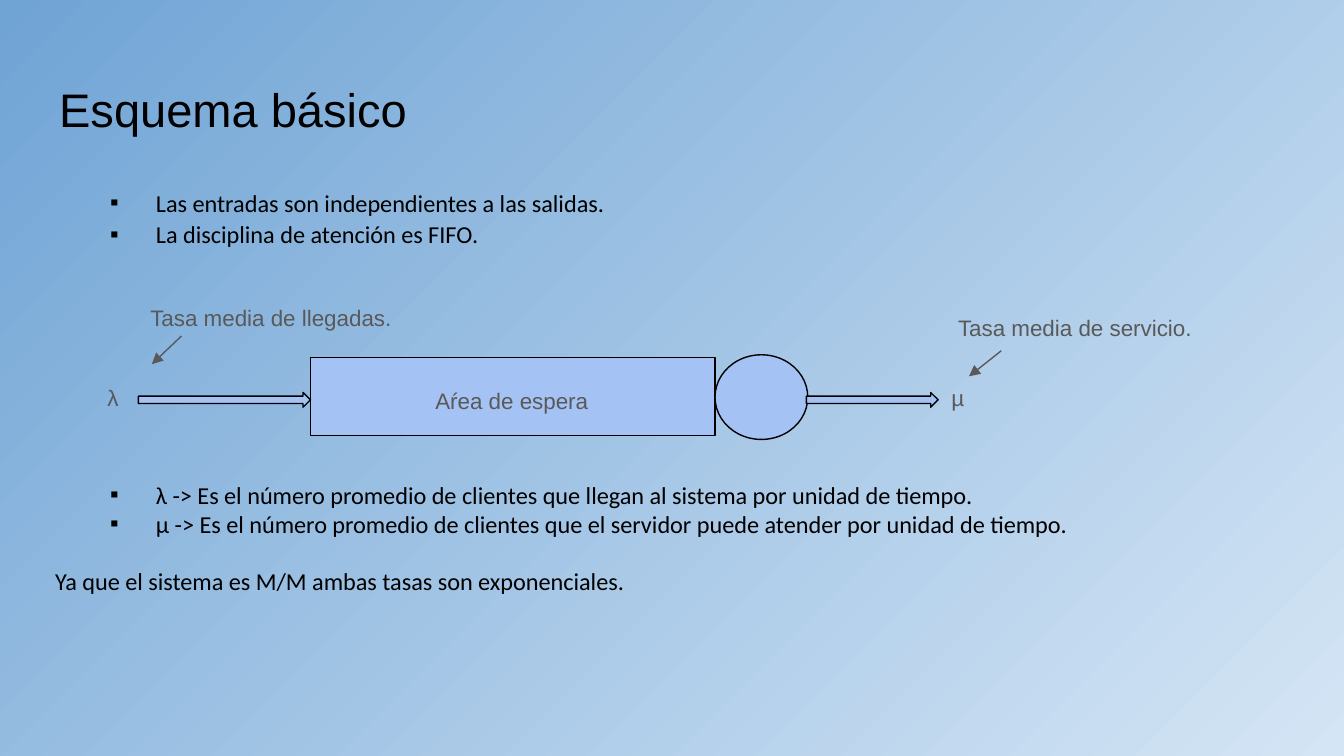
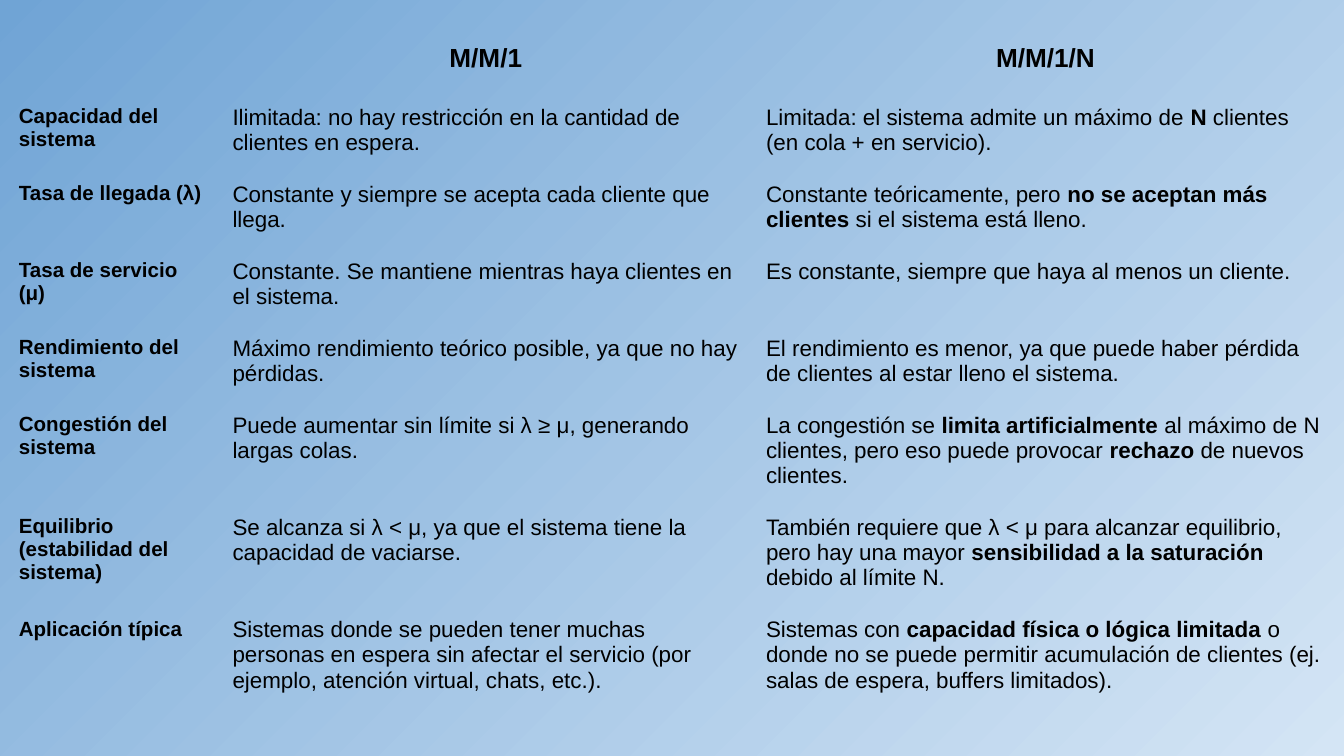
"""Builds two slides on queueing models: a basic diagram and a comparison table."""
from dataclasses import dataclass

from lxml import etree
from pptx import Presentation
from pptx import util as u
from pptx.dml.color import RGBColor
from pptx.enum import shapes, text
from pptx.oxml import ns


@dataclass(frozen=True)
class Theme:
    """Colours, fonts, type sizes and measures shared by the slides."""
    ink: str = "000000"
    label: str = "595959"
    block: str = "A4C2F4"
    light: str = "D4E5F5"
    dark: str = "70A4D5"
    sans: str = "Arial"
    body: str = "Calibri"
    title_size: float = 25.2
    head_size: float = 14
    text_size: float = 13
    cell_size: float = 12
    row_size: float = 11
    line: float = 0.75
    columns: int = 100


THEME = Theme()
PLAIN_TABLE = "{2D5ABB26-0587-4C30-8999-92F81FD0307C}"

BULLETS = [
    ("Las entradas son independientes a las salidas.", 0, 1.08),
    ("La disciplina de atención es FIFO.", 0, 1.08),
    ("λ -> Es el número promedio de clientes que llegan al sistema por unidad de tiempo.", 124, 1),
    ("µ -> Es el número promedio de clientes que el servidor puede atender por unidad de tiempo.", 0, 1),
]
CLOSING = "Ya que el sistema es M/M ambas tasas son exponenciales."

COLUMN_WIDTHS = [15.9, 39.7, 43.6]
ROW_HEIGHTS = [4.9] + [5.7] * 4 + [7.6] * 3
COMPARISON = [
    ("", "**M/M/1**", "**M/M/1/N**"),
    ("**Capacidad del sistema**",
     "Ilimitada: no hay restricción en la cantidad de clientes en espera.",
     "Limitada: el sistema admite un máximo de **N** clientes (en cola + en servicio)."),
    ("**Tasa de llegada (λ)**",
     "Constante y siempre se acepta cada cliente que llega.",
     "Constante teóricamente, pero **no se aceptan más clientes** si el sistema está lleno."),
    ("**Tasa de servicio (μ)**",
     "Constante. Se mantiene mientras haya clientes en el sistema.",
     "Es constante, siempre que haya al menos un cliente."),
    ("**Rendimiento del sistema**",
     "Máximo rendimiento teórico posible, ya que no hay pérdidas.",
     "El rendimiento es menor, ya que puede haber pérdida de clientes al estar lleno el sistema."),
    ("**Congestión del sistema**",
     "Puede aumentar sin límite si λ ≥ μ, generando largas colas.",
     "La congestión se **limita artificialmente** al máximo de N clientes, "
     "pero eso puede provocar **rechazo** de nuevos clientes."),
    ("**Equilibrio (estabilidad del sistema)**",
     "Se alcanza si λ < μ, ya que el sistema tiene la capacidad de vaciarse.",
     "También requiere que λ < μ para alcanzar equilibrio, "
     "pero hay una mayor **sensibilidad a la saturación** debido al límite N."),
    ("**Aplicación típica**",
     "Sistemas donde se pueden tener muchas personas en espera sin afectar el servicio "
     "(por ejemplo, atención virtual, chats, etc.).",
     "Sistemas con **capacidad física o lógica limitada** o donde no se puede permitir "
     "acumulación de clientes (ej. salas de espera, buffers limitados)."),
]


def grid(*cells):
    """Turn counts of square grid cells, 100 to the slide's width, into lengths."""
    return [u.Emu(round(u.Inches(10) * cell / THEME.columns)) for cell in cells]


def color(value):
    """Give a colour object for a hex value."""
    return RGBColor.from_string(value)


def add_child(parent, tag, **attributes):
    """Append a drawing element to an XML parent."""
    return etree.SubElement(parent, ns.qn(tag), attributes)


def add_spans(para, wording, size, font=THEME.sans, ink=THEME.ink):
    """Add runs to a paragraph, bold between double asterisks."""
    for index, piece in enumerate(wording.split("**")):
        if piece:
            span = para.add_run()
            span.text = piece
            span.font.size = u.Pt(size)
            span.font.name = font
            span.font.bold = index % 2 == 1
            span.font.color.rgb = color(ink)


def set_frame(frame, anchor=text.MSO_ANCHOR.TOP):
    """Set wrapping, anchor and equal insets on a text frame."""
    frame.word_wrap = True
    frame.auto_size = text.MSO_AUTO_SIZE.NONE
    frame.vertical_anchor = anchor
    inset, = grid(1)
    frame.margin_left = frame.margin_right = inset
    frame.margin_top = frame.margin_bottom = inset


def place(holder, *cells):
    """Move a placeholder to a place on the grid."""
    holder.left, holder.top, holder.width, holder.height = grid(*cells)


def set_background(master):
    """Give every slide the gradient that lightens to the bottom right."""
    fill = master.background.fill
    fill.gradient()
    for stop, value in zip(fill.gradient_stops, (THEME.light, THEME.dark)):
        stop.color.rgb = color(value)
    gradient = master.element.find(".//" + ns.qn("a:gradFill"))
    gradient.remove(gradient.find(ns.qn("a:lin")))
    focus = add_child(gradient, "a:path", path="circle")
    add_child(focus, "a:fillToRect", l="100000", t="100000")


def add_title(page, wording):
    """Fill the title placeholder."""
    place(page.shapes.title, 3.4, 4.9, 93.2, 6.3)
    frame = page.shapes.title.text_frame
    set_frame(frame, text.MSO_ANCHOR.BOTTOM)
    para = frame.paragraphs[0]
    para.alignment = text.PP_ALIGN.LEFT
    add_spans(para, wording, THEME.title_size)


def set_bullet(para, bulleted):
    """Give a paragraph a square bullet with hanging indent, or none."""
    props = para._p.get_or_add_pPr()
    margin, indent = grid(7.5, -3.4) if bulleted else (0, 0)
    props.set("marL", str(int(margin)))
    props.set("indent", str(int(indent)))
    if bulleted:
        add_child(add_child(props, "a:buClr"), "a:srgbClr", val=THEME.ink)
        add_child(props, "a:buFont", typeface=THEME.sans)
        add_child(props, "a:buChar", char="▪")
    else:
        add_child(props, "a:buNone")


def add_body(page):
    """Fill the body placeholder with bullets and the closing sentence."""
    holder = page.placeholders[1]
    place(holder, 3.1, 12.8, 93.2, 37.4)
    frame = holder.text_frame
    set_frame(frame)
    for index, (wording, before, spacing) in enumerate(BULLETS + [(CLOSING, 15, 1)]):
        para = frame.add_paragraph() if index else frame.paragraphs[0]
        para.alignment = text.PP_ALIGN.LEFT
        para.line_spacing = spacing
        para.space_before = u.Pt(before)
        para.space_after = u.Pt(0)
        set_bullet(para, wording != CLOSING)
        add_spans(para, wording, THEME.text_size, THEME.body)


def add_block(group, kind, *cells):
    """Add an outlined shape of the queue."""
    block = group.shapes.add_shape(kind, *grid(*cells))
    block.shadow.inherit = False
    block.fill.solid()
    block.fill.fore_color.rgb = color(THEME.block)
    block.line.color.rgb = color(THEME.ink)
    block.line.width = u.Pt(THEME.line)


def add_label(group, wording, *cells):
    """Add a grey caption."""
    box = group.shapes.add_textbox(*grid(*cells))
    set_frame(box.text_frame)
    add_spans(box.text_frame.paragraphs[0], wording, THEME.cell_size, ink=THEME.label)


def add_pointer(group, *ends):
    """Add a thin arrow from a caption to its symbol."""
    pointer = group.shapes.add_connector(shapes.MSO_CONNECTOR.STRAIGHT, *grid(*ends))
    pointer.line.color.rgb = color(THEME.label)
    pointer.line.width = u.Pt(THEME.line)
    add_child(pointer.line._get_or_add_ln(), "a:tailEnd", type="triangle")
    add_child(pointer._element.spPr, "a:effectLst")


def add_queue(page):
    """Draw the waiting area, the server, the flows and their captions."""
    group = page.shapes.add_group_shape()
    kinds = shapes.MSO_SHAPE
    for kind, *cells in [
        (kinds.RECTANGLE, 23.1, 26.6, 30.1, 5.8),
        (kinds.RIGHT_ARROW, 10.3, 29.2, 12.8, 1.1),
        (kinds.OVAL, 53.2, 26.4, 6.9, 6.3),
        (kinds.RIGHT_ARROW, 60, 29.2, 9.8, 1.1),
    ]:
        add_block(group, kind, *cells)
    for wording, *cells in [
        ("λ", 7, 27.6, 3.9, 4),
        ("µ", 69.8, 27.6, 4.5, 4),
        ("Aŕea de espera", 31.4, 27.8, 13.8, 3.5),
        ("Tasa media de llegadas.", 10.2, 21.6, 22.8, 4),
        ("Tasa media de servicio.", 70.3, 22.4, 22.8, 4),
    ]:
        add_label(group, wording, *cells)
    add_pointer(group, 13.5, 25, 11.3, 27.1)
    add_pointer(group, 74.5, 26.1, 72.1, 28)


def fill_cell(cell, wording, size, heading):
    """Write one table cell without fill."""
    cell.fill.background()
    inset, = grid(1 if wording else 0)
    cell.margin_left = cell.margin_right = inset
    cell.margin_top = cell.margin_bottom = inset
    para = cell.text_frame.paragraphs[0]
    if heading:
        para.alignment = text.PP_ALIGN.CENTER
        para.line_spacing = 1.15
    add_spans(para, wording, size)


def add_comparison(page):
    """Add the table that compares both models."""
    place_cells = grid(0.4, 1.9, sum(COLUMN_WIDTHS), sum(ROW_HEIGHTS))
    holder = page.shapes.add_table(len(COMPARISON), len(COLUMN_WIDTHS), *place_cells)
    table = holder.table
    table.first_row = table.horz_banding = False
    holder._element.find(".//" + ns.qn("a:tableStyleId")).text = PLAIN_TABLE
    for column, width in zip(table.columns, grid(*COLUMN_WIDTHS)):
        column.width = width
    for row, height in zip(table.rows, grid(*ROW_HEIGHTS)):
        row.height = height
    for r, wordings in enumerate(COMPARISON):
        for c, wording in enumerate(wordings):
            size = THEME.cell_size if c else THEME.row_size
            fill_cell(table.cell(r, c), wording, size if r else THEME.head_size, r == 0)


def main():
    """Build and save the deck."""
    deck = Presentation()
    deck.slide_width, deck.slide_height = grid(THEME.columns, THEME.columns * 9 / 16)
    set_background(deck.slide_master)
    scheme = deck.slides.add_slide(deck.slide_layouts[1])
    add_title(scheme, "Esquema básico")
    add_body(scheme)
    add_queue(scheme)
    add_comparison(deck.slides.add_slide(deck.slide_layouts[6]))
    deck.save("out.pptx")


if __name__ == "__main__":
    main()
